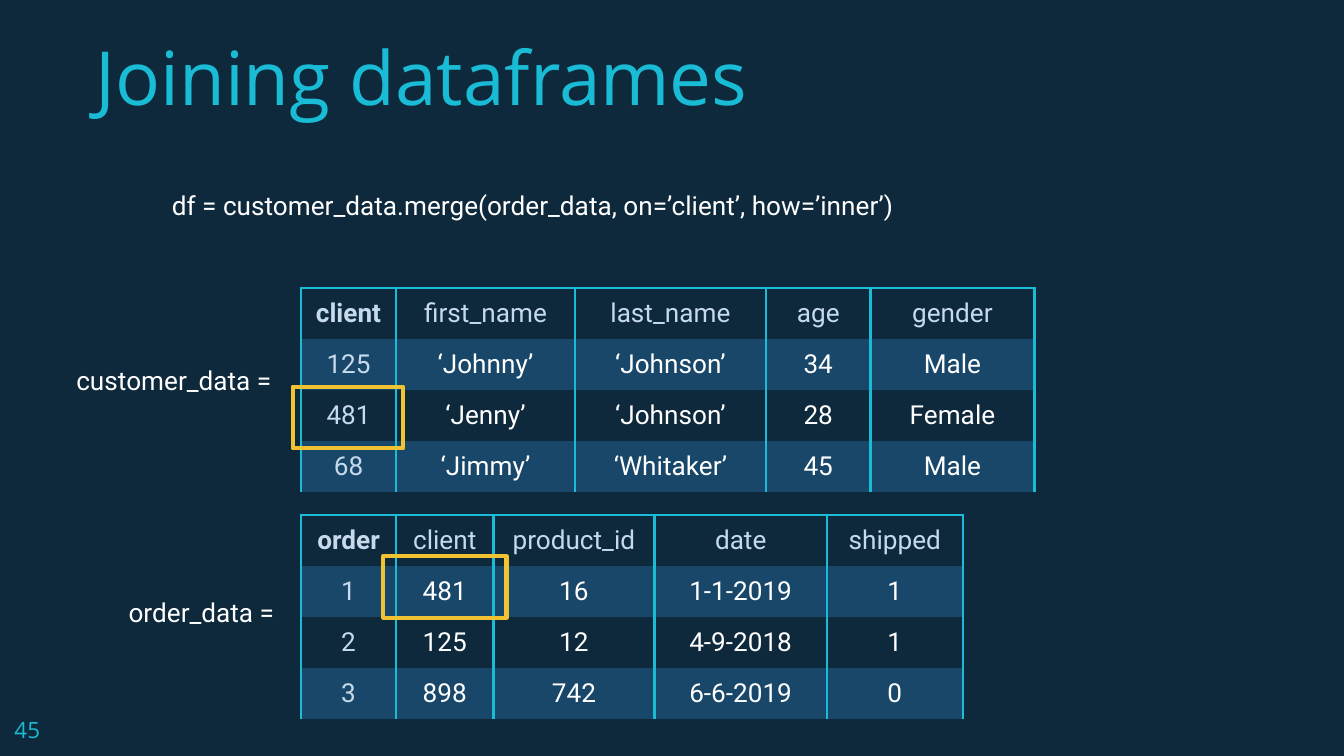
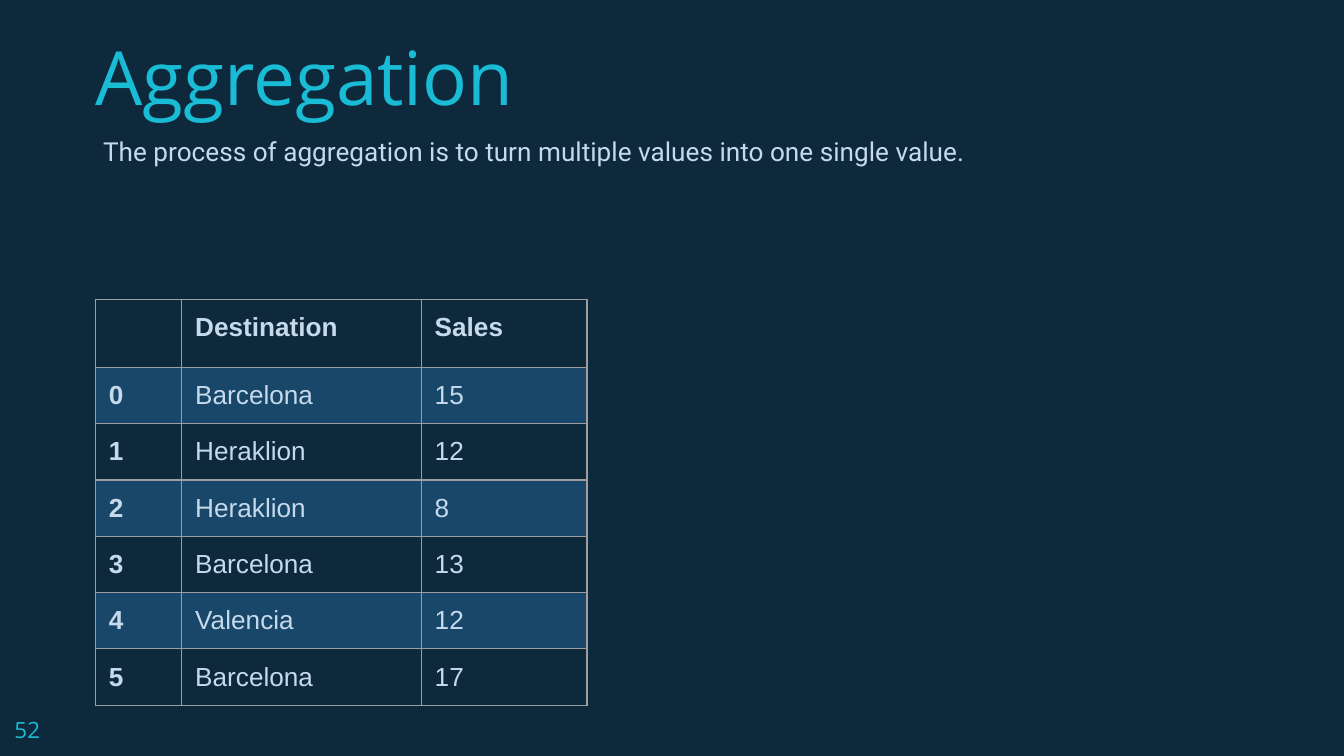
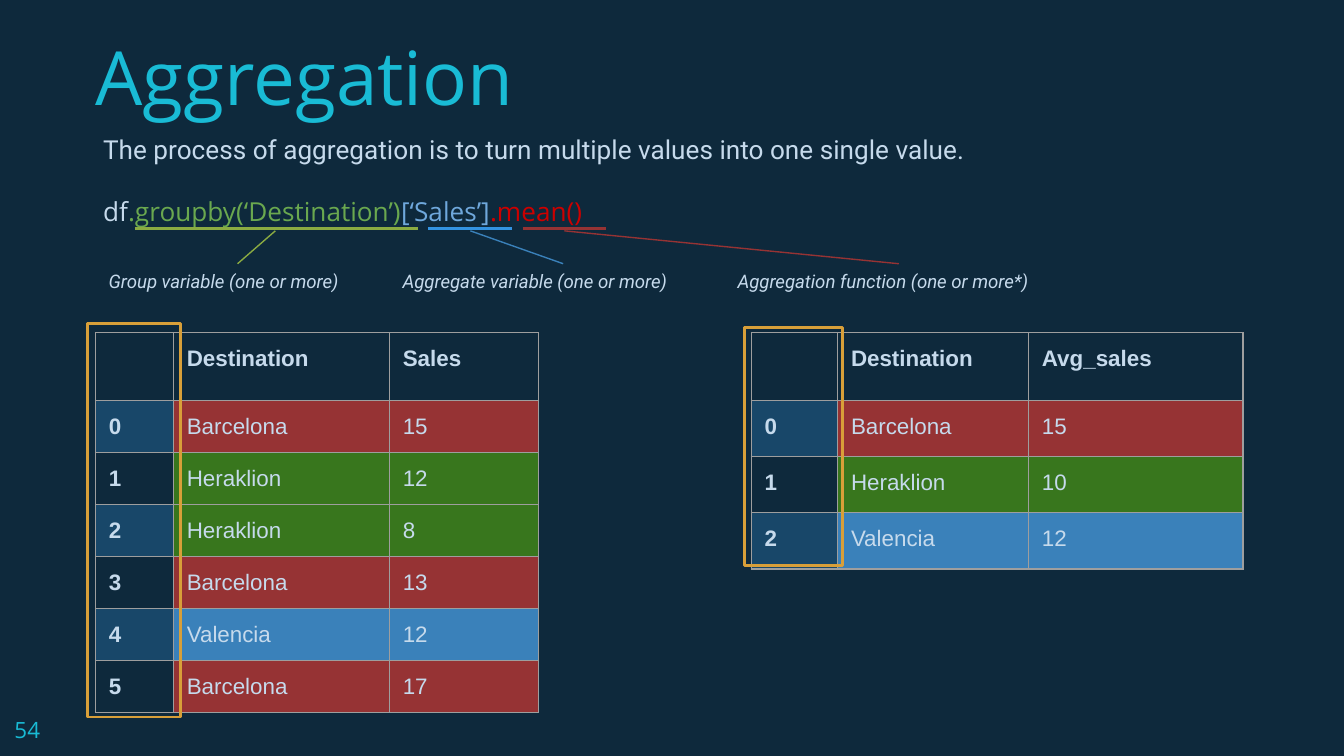
from pptx import Presentation
from pptx.dml.color import RGBColor as RGB
from pptx.enum.shapes import MSO_CONNECTOR as Link, MSO_SHAPE as Form
from pptx.enum.text import MSO_ANCHOR as Anchor, MSO_AUTO_SIZE as Fit, PP_ALIGN as Align
from pptx.oxml.ns import qn
from pptx.util import Pt
from lxml.etree import SubElement as Sub

# Shared colours
NAVY = RGB(0x0E, 0x29, 0x3C)
CYAN = RGB(0x19, 0xBB, 0xD5)
PALE = RGB(0xC6, 0xDA, 0xEC)
WHITE = RGB(0xFF, 0xFF, 0xFF)
BAND = RGB(0x18, 0x47, 0x69)
GRID = RGB(0x9E, 0x9E, 0x9E)
GOLD = RGB(0xF1, 0xC2, 0x32)
AMBER = RGB(0xD8, 0x9F, 0x39)
BRICK = RGB(0x96, 0x33, 0x34)
LEAF = RGB(0x38, 0x76, 0x1D)
BLUE = RGB(0x3A, 0x81, 0xBA)
LIME = RGB(0x8B, 0xAB, 0x42)
AZURE = RGB(0x33, 0x93, 0xE2)
# Colours of the code parts
GREEN = RGB(0x6A, 0xA8, 0x4F)
SKY = RGB(0x6F, 0xA8, 0xDC)
RED = RGB(0xCC, 0, 0)

SANS, BODY, CELL = "Open Sans", "Roboto", "Arial"
PAD = 7.2
NO_STYLE = "{2D5ABB26-0587-4C30-8999-92F81FD0307C}"
CITY = {"Barcelona": BRICK, "Heraklion": LEAF, "Valencia": BLUE}
INTRO = "The process of aggregation is to turn multiple values into one single value."
SALES = [
    ["", "Destination", "Sales"],
    ["0", "Barcelona", "15"],
    ["1", "Heraklion", "12"],
    ["2", "Heraklion", "8"],
    ["3", "Barcelona", "13"],
    ["4", "Valencia", "12"],
    ["5", "Barcelona", "17"],
]
MEANS = [
    ["", "Destination", "Avg_sales"],
    ["0", "Barcelona", "15"],
    ["1", "Heraklion", "10"],
    ["2", "Valencia", "12"],
]
CLIENTS = [
    ["client", "first_name", "last_name", "age", "gender"],
    ["125", "‘Johnny’", "‘Johnson’", "34", "Male"],
    ["481", "‘Jenny’", "‘Johnson’", "28", "Female"],
    ["68", "‘Jimmy’", "‘Whitaker’", "45", "Male"],
]
ORDERS = [
    ["order", "client", "product_id", "date", "shipped"],
    ["1", "481", "16", "1-1-2019", "1"],
    ["2", "125", "12", "4-9-2018", "1"],
    ["3", "898", "742", "6-6-2019", "0"],
]


def put(para, text, size=14, font=BODY, color=PALE, bold=False, italic=False, align=Align.LEFT):
    """Add one formatted run to a paragraph."""
    para.alignment = align
    run = para.add_run()
    run.text = text
    face = run.font
    face.size, face.name, face.bold, face.italic = Pt(size), font, bold, italic
    face.color.rgb = color


def frame(shape, anchor=Anchor.TOP):
    """Give a shape's text the shared padding and wrap; return its first paragraph."""
    body = shape.text_frame
    body.auto_size, body.word_wrap = Fit.NONE, True
    body.vertical_anchor = anchor
    body.margin_left = body.margin_right = body.margin_top = body.margin_bottom = Pt(PAD)
    return body.paragraphs[0]


def label(slide, box, text, anchor=Anchor.TOP, **look):
    shape = slide.shapes.add_textbox(*map(Pt, box))
    put(frame(shape, anchor), text, **look)
    return shape


def start(deck, title, number):
    """Add a slide with its title and page number."""
    slide = deck.slides.add_slide(deck.slide_layouts[5])
    label(slide, (0.7, 376.6, 43.2, 28), number, size=12, font=SANS, color=CYAN)
    head = slide.shapes.title
    head.left, head.top, head.width, head.height = map(Pt, (44, 21, 627, 51))
    put(frame(head, Anchor.BOTTOM), title, size=40, font=SANS, color=CYAN)
    return slide


def edge(cell, sides, color, width):
    """Draw the named sides (L, R, T, B, in this order) of a cell."""
    props = cell._tc.get_or_add_tcPr()
    for side in sides:
        line = Sub(props, qn("a:ln" + side), w=str(Pt(width)))
        Sub(Sub(line, qn("a:solidFill")), qn("a:srgbClr"), val=str(color))


def table(slide, spot, wide, high, rows, style):
    """Add a table; style(cell, row, col, text) formats each cell."""
    size = sum(wide), sum(high)
    grid = slide.shapes.add_table(len(rows), len(wide), *map(Pt, (*spot, *size))).table
    grid._tbl.tblPr.find(qn("a:tableStyleId")).text = NO_STYLE
    grid.first_row = grid.horz_banding = False
    for col, width in zip(grid.columns, wide):
        col.width = Pt(width)
    for row, height in zip(grid.rows, high):
        row.height = Pt(height)
    for r, row in enumerate(rows):
        for c, text in enumerate(row):
            style(grid.cell(r, c), r, c, text)


def paint(cell, color):
    if color is None:
        cell.fill.background()
    else:
        cell.fill.solid()
        cell.fill.fore_color.rgb = color


def data(cell, r, c, text):
    """Centred cell between cyan uprights."""
    cell.vertical_anchor = Anchor.MIDDLE
    cell.margin_left = cell.margin_right = Pt(PAD)
    cell.margin_top = cell.margin_bottom = Pt(5)
    edge(cell, "LR" if r else "LRT", CYAN, 1.5)
    paint(cell, BAND if r % 2 else None)
    put(cell.text_frame.paragraphs[0], text, color=WHITE if r and c else PALE,
        bold=r == c == 0, align=Align.CENTER)


def ledger(size, tint=False):
    """Make a style with a full grey grid, and city colours if tinted."""
    def style(cell, r, c, text):
        cell.margin_left = cell.margin_right = cell.margin_top = cell.margin_bottom = Pt(PAD)
        edge(cell, "LRTB", GRID, 0.75)
        city = cell_city[r] if tint and c else None
        paint(cell, city or (BAND if r % 2 and not (tint and c) else None))
        if text:
            put(cell.text_frame.paragraphs[0], text, size=size, font=CELL, bold=r == 0 or c == 0)
        return None

    cell_city = {}

    def track(cell, r, c, text):
        if c == 1:
            cell_city[r] = CITY.get(text)
        style(cell, r, c, text)
    return track


def ring(slide, box, color, width):
    """Outline a key column or cell."""
    shape = slide.shapes.add_shape(Form.RECTANGLE, *map(Pt, box))
    shape.shadow.inherit = False
    shape.fill.background()
    shape.line.color.rgb, shape.line.width = color, Pt(width)


def rule(slide, ends, color, width):
    line = slide.shapes.add_connector(Link.STRAIGHT, *map(Pt, ends))
    line.line.color.rgb, line.line.width = color, Pt(width)
    Sub(line._element.spPr, qn("a:effectLst"))


def joins(deck):
    slide = start(deck, "Joining dataframes", "45")
    high = [27.3] * 4
    table(slide, (161.2, 154.2), (51.1, 95.7, 102.4, 56, 87.8), high, CLIENTS, data)
    table(slide, (161.2, 275.9), (51.1, 52, 86.4, 92.3, 72.8), high, ORDERS, data)
    for box, text in (
        ((33.8, 188, 159, 64), "customer_data ="),
        ((61.8, 312.4, 159, 64), "order_data ="),
        ((85, 94.3, 609, 33), "df = customer_data.merge(order_data, on=’client’, how=’inner’)"),
    ):
        label(slide, box, text, color=WHITE)
    # The client that both tables hold
    ring(slide, (156.8, 207.2, 59.2, 33), GOLD, 2.25)
    ring(slide, (205.4, 298, 66, 33), GOLD, 2.25)


def sums(deck):
    slide = start(deck, "Aggregation", "52")
    label(slide, (48.2, 65.5, 623.5, 57.6), INTRO)
    table(slide, (51.1, 160.4), (46.3, 128.3, 88.8), [34.4] + [30.1] * 6, SALES, ledger(14))


def means(deck):
    slide = start(deck, "Aggregation", "54")
    box = label(slide, (48.2, 64.5, 623.5, 57.6), INTRO)
    code = box.text_frame.add_paragraph()
    code.space_before = Pt(16.4)
    for text, color in (("df", PALE), (".groupby(‘Destination’)", GREEN),
                        ("[‘Sales’]", SKY), (".mean()", RED)):
        put(code, text, font=SANS, color=color)

    # Sales by trip, and their mean by city
    top = 178.2
    table(slide, (51.1, top), (41.8, 115.7, 80), [34.6] + [27.8] * 6, SALES, ledger(12, True))
    table(slide, (402.4, top), (46.3, 102.3, 114.9), [34.6] + [30.1] * 3, MEANS, ledger(12, True))

    # Names of the code parts
    for left, width, text in ((51.1, 152, "Group variable (one or more)"),
                              (208.6, 186.5, "Aggregate variable (one or more)"),
                              (388, 186.5, "Aggregation function (one or more*)")):
        label(slide, (left, 141, width, 23), text, Anchor.BOTTOM, size=10, italic=True)

    # Underlines, then leaders from them down to the names
    for left, right, color in ((72.2, 224.2, LIME), (229.2, 274.2, AZURE), (280, 324.6, BRICK)):
        rule(slide, (left, 122.4, right, 122.4), color, 1.5)
    for high, low, color in ((147.5, 127.3, LIME), (252, 301.7, BLUE), (302.4, 481.5, BRICK)):
        rule(slide, (high, 123.7, low, 141.3), color, 0.75)

    # Index columns
    ring(slide, (47, 173.2, 49.7, 211), AMBER, 1.5)
    ring(slide, (399, 175.3, 52.4, 127.6), AMBER, 1.5)


def main():
    deck = Presentation()
    deck.slide_width, deck.slide_height = Pt(720), Pt(405)
    back = deck.slide_master.background.fill
    back.solid()
    back.fore_color.rgb = NAVY
    joins(deck)
    sums(deck)
    means(deck)
    deck.save("out.pptx")


main()
